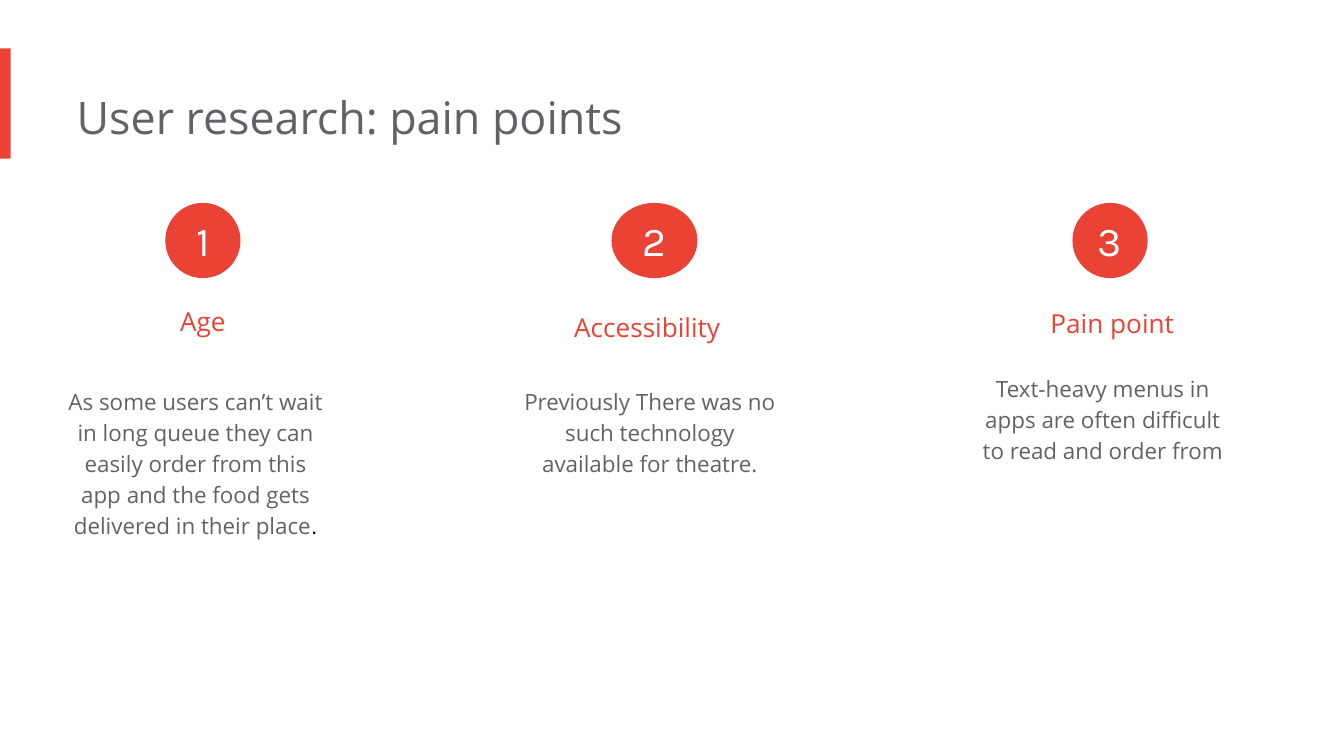
from pptx import Presentation
from pptx.dml.color import RGBColor
from pptx.enum.shapes import MSO_SHAPE
from pptx.enum.text import MSO_ANCHOR, PP_ALIGN
from pptx.util import Inches, Pt

RECT, OVAL = MSO_SHAPE.RECTANGLE, MSO_SHAPE.OVAL
TOP, MIDDLE = MSO_ANCHOR.TOP, MSO_ANCHOR.MIDDLE
LEFT, CENTER = PP_ALIGN.LEFT, PP_ALIGN.CENTER

# A 16:9 slide
WIDE = 10
HIGH = WIDE * 9 / 16
COLORS = {"red": "EA4335", "gray": "5F6368", "white": "FFFFFF", "black": "000000"}
SANS, DIGIT, PLAIN = "Open Sans", "Karla", "Arial"

# Text insets: left, top, right, bottom
PAD, EVEN, NONE = (0, 0.1, 0.1, 0.1), (0.1, 0.05, 0.1, 0.05), (0, 0, 0, 0)

# Shared grid: column width, badge row and badge height
COL, ROW, BADGE = 2.05, 1.51, 0.56

# Each column: badge (left, width), heading and body boxes, texts
POINTS = [
    {"badge": (1.23, 0.56), "pad": EVEN,
     "head": (-0.99, 2.11, 5, 0.42), "body": (0.48, 2.76, COL, 1.36),
     "name": "Age", "end": ".",
     "text": "As some users can’t wait in long queue they can easily order "
             "from this app and the food gets delivered in their place"},
    {"badge": (4.55, 0.64), "pad": PAD,
     "head": (3.84, 2.1, COL, 0.56), "body": (3.86, 2.76, COL, 1.13),
     "name": "Accessibility", "end": "",
     "text": "Previously There was no such technology available for theatre."},
    {"badge": (7.98, 0.56), "pad": PAD,
     "head": (7.3, 2.07, COL, 0.44), "body": (7.23, 2.66, COL, 0.9),
     "name": "Pain point", "end": "",
     "text": "Text-heavy menus in apps are often difficult to read and order from"},
]


def paint(hue):
    return RGBColor.from_string(COLORS[hue])


def place(shape, box):
    shape.left, shape.top, shape.width, shape.height = map(Inches, box)


def write(shape, runs, size, align=CENTER, pad=PAD, anchor=TOP, gap=1.0):
    """Fill a shape with one paragraph of (text, font, color) runs."""
    frame = shape.text_frame
    frame.word_wrap = True
    frame.vertical_anchor = anchor
    (frame.margin_left, frame.margin_top,
     frame.margin_right, frame.margin_bottom) = map(Inches, pad)
    line = frame.paragraphs[0]
    line.alignment, line.line_spacing = align, gap
    for text, font, hue in runs:
        run = line.add_run()
        run.text = text
        run.font.name, run.font.size = font, Pt(size)
        run.font.color.rgb = paint(hue)


def add_block(slide, box, runs, size, gap, pad=PAD):
    block = slide.shapes.add_textbox(*map(Inches, box))
    write(block, runs, size, pad=pad, gap=gap)


def add_solid(slide, kind, box, hue):
    shape = slide.shapes.add_shape(kind, *map(Inches, box))
    shape.shadow.inherit = False
    shape.fill.solid()
    shape.fill.fore_color.rgb = paint(hue)
    shape.line.fill.background()
    return shape


def add_point(slide, number, point):
    # Numbered badge
    left, wide = point["badge"]
    badge = add_solid(slide, OVAL, (left, ROW, wide, BADGE), "red")
    write(badge, [(str(number), DIGIT, "white")], 22, pad=NONE, anchor=MIDDLE)

    # Heading and description
    name = [(point["name"], SANS, "red")]
    add_block(slide, point["head"], name, 14, 1.5, point["pad"])
    runs = [(point["text"], SANS, "gray")]
    if point["end"]:
        runs.append((point["end"], PLAIN, "black"))
    add_block(slide, point["body"], runs, 12, 1.15)


def main():
    deck = Presentation()
    deck.slide_width, deck.slide_height = Inches(WIDE), Inches(HIGH)
    slide = deck.slides.add_slide(deck.slide_layouts[5])

    # Accent bar and title
    add_solid(slide, RECT, (0, 0.36, 0.08, 0.82), "red")
    title = slide.shapes.title
    place(title, (0.57, 0.57, 6.73, 0.61))
    write(title, [("User research: pain points", SANS, "gray")], 24, align=LEFT)

    # Three pain points
    for number, point in enumerate(POINTS, 1):
        add_point(slide, number, point)

    deck.save("out.pptx")


if __name__ == "__main__":
    main()
